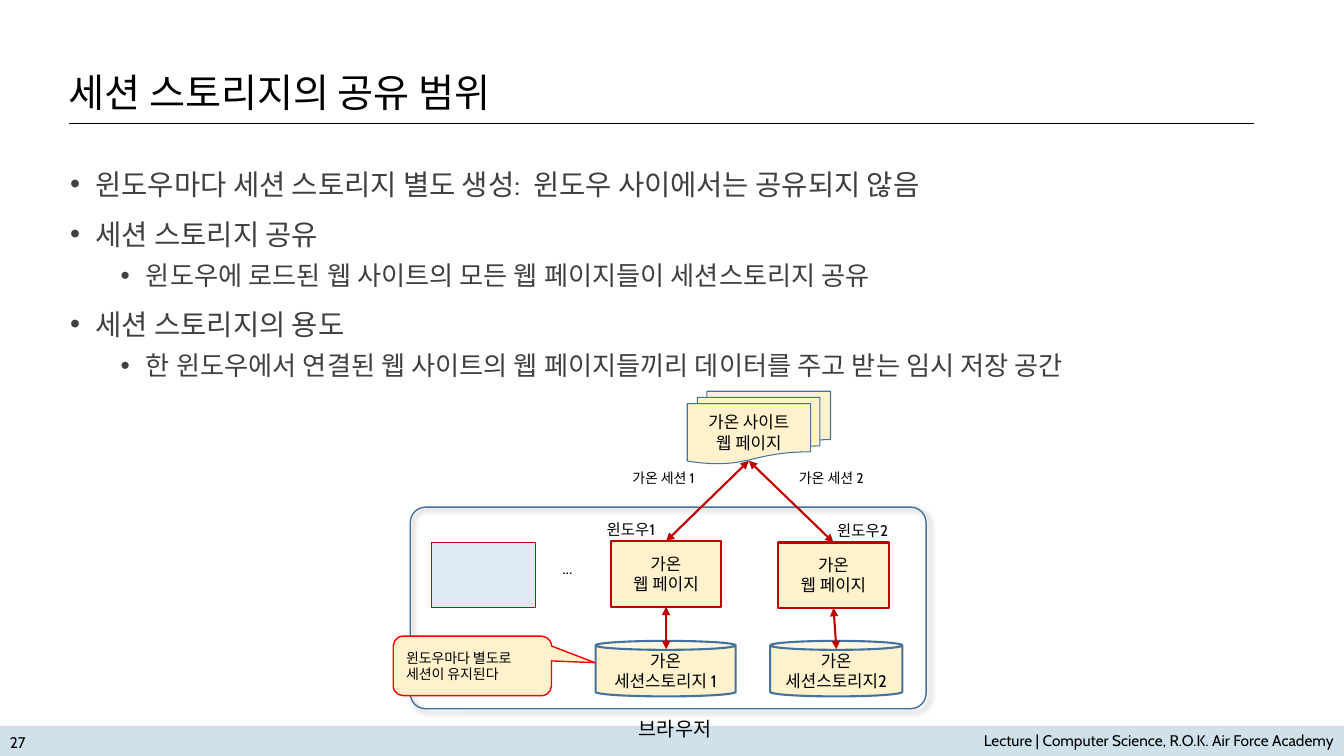
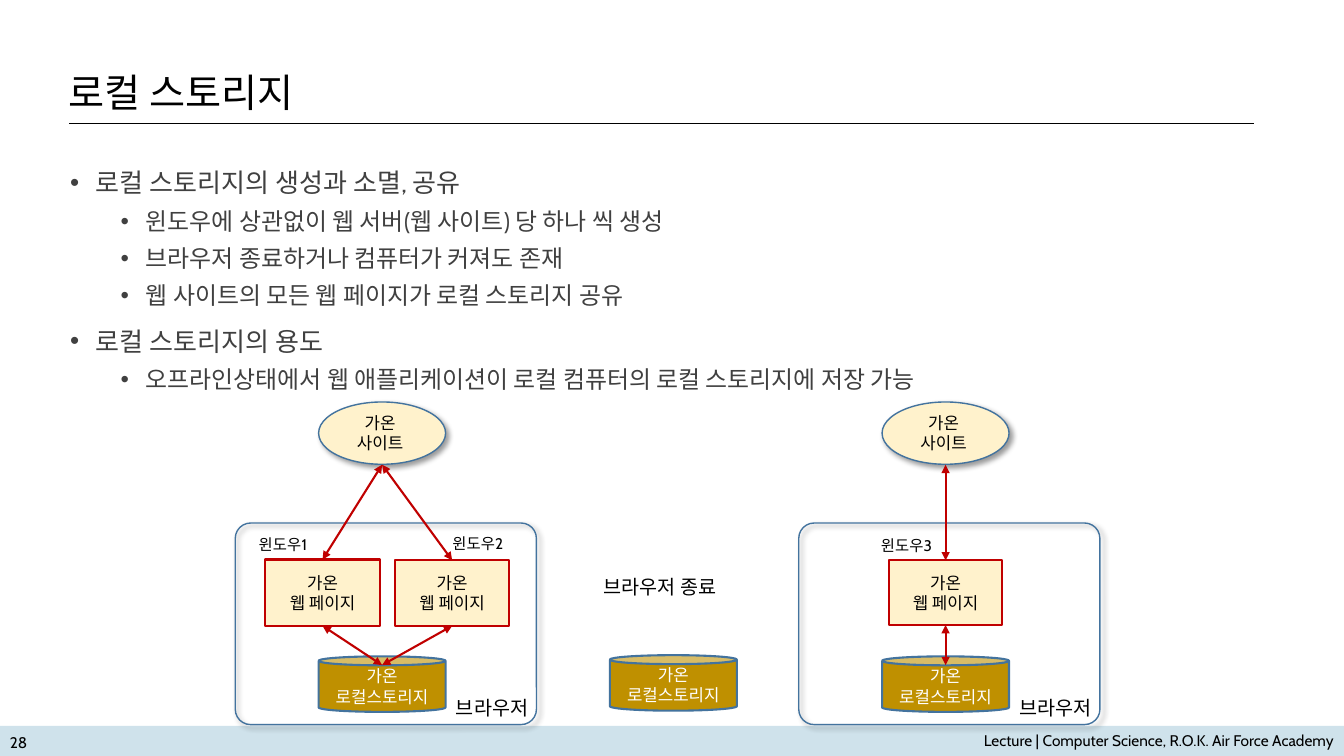
"""Build two lecture slides on session storage and local storage."""
from dataclasses import dataclass

import lxml.etree
import pptx
import pptx.dml.color
import pptx.enum.shapes
import pptx.enum.text
import pptx.oxml.ns
import pptx.slide
import pptx.text.text
import pptx.util

Cm = pptx.util.Cm
Pt = pptx.util.Pt
RGBColor = pptx.dml.color.RGBColor
Shape = pptx.enum.shapes.MSO_SHAPE
Align = pptx.enum.text.PP_ALIGN
Anchor = pptx.enum.text.MSO_ANCHOR
qn = pptx.oxml.ns.qn

BLACK = RGBColor(0x00, 0x00, 0x00)
WHITE = RGBColor(0xFF, 0xFF, 0xFF)
GRAY = RGBColor(0x40, 0x40, 0x40)
BAND = RGBColor(0xCF, 0xE2, 0xEB)
CREAM = RGBColor(0xFF, 0xF2, 0xCC)
PALE_BLUE = RGBColor(0xDE, 0xEB, 0xF7)
GOLD = RGBColor(0xBF, 0x90, 0x00)
BLUE = RGBColor(0x43, 0x73, 0x9E)
DARK_RED = RGBColor(0xC0, 0x00, 0x00)
RED = RGBColor(0xFF, 0x00, 0x00)

FONT = "Cabin"
FOOTER = "Lecture | Computer Science, R.O.K. Air Force Academy"
WEB_PAGE = "가온\n웹 페이지"
SITE = "가온\n사이트"
LOCAL_STORAGE = "가온\n로컬스토리지"
PAGE_WIDTH = 33.87
PAGE_HEIGHT = 19.05

Area = tuple[float, float, float, float]
Point = tuple[float, float]


@dataclass(frozen=True)
class Style:
    """Look of a kind of diagram shape."""

    kind: Shape
    fill: RGBColor | None = CREAM
    line: RGBColor | None = BLUE
    weight: float = 1.5
    color: RGBColor = BLACK
    size: float = 12
    align: Align = Align.CENTER
    shadow: bool = False
    adjustments: tuple[float, ...] = ()
    margins: Area | None = None


@dataclass(frozen=True)
class Label:
    """Free text without wrapping."""

    text: str
    area: Area
    size: float
    align: Align = Align.LEFT


@dataclass(frozen=True)
class Bullet:
    """One bulleted line."""

    text: str
    level: int = 0


@dataclass(frozen=True)
class Window:
    """A browser window, its caption and the caption's upper left corner."""

    area: Area
    caption: str
    corner: Point


BAND_STYLE = Style(Shape.RECTANGLE, BAND, None)
BROWSER = Style(Shape.ROUNDED_RECTANGLE, None, weight=1, shadow=True, adjustments=(0.076,))
WINDOW = Style(Shape.RECTANGLE, line=DARK_RED)
EMPTY_WINDOW = Style(Shape.RECTANGLE, PALE_BLUE, DARK_RED, 0.75)
SESSION_CAN = Style(Shape.CAN, adjustments=(0.162,))
LOCAL_CAN = Style(Shape.CAN, GOLD, color=WHITE, adjustments=(0.162,))
SITE_OVAL = Style(Shape.OVAL, weight=1, shadow=True, margins=(0, 0.13, 0.1, 0.13))
SITE_PAGES = Style(Shape.FLOWCHART_MULTIDOCUMENT, weight=0.75)
CALLOUT = Style(Shape.ROUNDED_RECTANGULAR_CALLOUT, line=RED, weight=1, size=10,
                align=Align.LEFT, adjustments=(0.774, -0.054, 0.167))


def lengths(values: tuple[float, ...]) -> list[pptx.util.Length]:
    """Turn centimetres into lengths."""
    return [Cm(value) for value in values]


def format_text(frame: pptx.text.text.TextFrame, size: float, color: RGBColor, align: Align) -> None:
    """Give all text of a frame one look."""
    for para in frame.paragraphs:
        para.alignment = align
        for span in para.runs:
            span.font.name = FONT
            span.font.size = Pt(size)
            span.font.color.rgb = color
            lxml.etree.SubElement(span._r.get_or_add_rPr(), qn("a:ea"), typeface=FONT)


def set_margins(frame: pptx.text.text.TextFrame, margins: Area) -> None:
    """Set the left, top, right and bottom insets."""
    frame.margin_left, frame.margin_top, frame.margin_right, frame.margin_bottom = lengths(margins)


def add_shadow(shape) -> None:
    """Add a soft shadow towards the lower right."""
    effects = shape.element.spPr.find(qn("a:effectLst"))
    shadow = lxml.etree.SubElement(effects, qn("a:outerShdw"), blurRad=str(Pt(4)),
                                   dist=str(Pt(3)), dir="2700000", algn="tl", rotWithShape="0")
    color = lxml.etree.SubElement(shadow, qn("a:srgbClr"), val=str(BLACK))
    lxml.etree.SubElement(color, qn("a:alpha"), val="40000")


def draw_shape(page: pptx.slide.Slide, style: Style, area: Area, text: str = "") -> None:
    """Draw a preset shape with its text."""
    shape = page.shapes.add_shape(style.kind, *lengths(area))
    shape.shadow.inherit = False
    for index, value in enumerate(style.adjustments):
        shape.adjustments[index] = value
    if style.fill is None:
        shape.fill.background()
    else:
        shape.fill.solid()
        shape.fill.fore_color.rgb = style.fill
    if style.line is None:
        shape.line.fill.background()
    else:
        shape.line.color.rgb = style.line
        shape.line.width = Pt(style.weight)
    if style.shadow:
        add_shadow(shape)
    if text:
        frame = shape.text_frame
        frame.text = text
        frame.word_wrap = True
        frame.vertical_anchor = Anchor.MIDDLE
        if style.margins:
            set_margins(frame, style.margins)
        format_text(frame, style.size, style.color, style.align)


def draw_text(page: pptx.slide.Slide, label: Label, wrap: bool = False,
              anchor: Anchor = Anchor.TOP) -> pptx.text.text.TextFrame:
    """Draw a text box and return its frame."""
    frame = page.shapes.add_textbox(*lengths(label.area)).text_frame
    frame.text = label.text
    frame.word_wrap = wrap
    frame.vertical_anchor = anchor
    if not wrap:
        frame.auto_size = pptx.enum.text.MSO_AUTO_SIZE.SHAPE_TO_FIT_TEXT
    format_text(frame, label.size, BLACK, label.align)
    return frame


def draw_line(page: pptx.slide.Slide, start: Point, end: Point, color: RGBColor = DARK_RED,
              weight: float = 1.5, arrows: bool = True) -> None:
    """Draw a straight line, by default with an arrowhead at each end."""
    line = page.shapes.add_connector(pptx.enum.shapes.MSO_CONNECTOR.STRAIGHT, *lengths(start + end))
    line.line.color.rgb = color
    line.line.width = Pt(weight)
    properties = line.element.spPr
    if arrows:
        for tag in ("a:headEnd", "a:tailEnd"):
            lxml.etree.SubElement(properties.find(qn("a:ln")), qn(tag), type="triangle")
    lxml.etree.SubElement(properties, qn("a:effectLst"))


def draw_bullets(page: pptx.slide.Slide, bullets: list[Bullet], sizes: tuple[float, float]) -> None:
    """Draw the two-level bullet list."""
    frame = page.shapes.add_textbox(*lengths((1.52, 4.04, 30.02, 5.9))).text_frame
    frame.word_wrap = True
    frame.text = "\n".join(bullet.text for bullet in bullets)
    format_text(frame, sizes[0], GRAY, Align.LEFT)
    for para, bullet in zip(frame.paragraphs, bullets):
        para.level = bullet.level
        para.line_spacing = 1.05
        para.space_before = Pt((10, 5)[bullet.level])
        para.runs[0].font.size = Pt(sizes[bullet.level])
        properties = para._p.get_or_add_pPr()
        properties.set("marL", str(Cm((0.64, 1.91)[bullet.level])))
        properties.set("indent", str(Cm(-0.64)))
        lxml.etree.SubElement(properties, qn("a:buFont"), typeface="Arial")
        lxml.etree.SubElement(properties, qn("a:buChar"), char="•")


def add_page(deck, number: int, title: str) -> pptx.slide.Slide:
    """Add a page with the shared title, rule, band and footer."""
    page = deck.slides.add_slide(deck.slide_layouts[6])
    draw_shape(page, BAND_STYLE, (0, 18.29, PAGE_WIDTH, 0.76))
    draw_text(page, Label(FOOTER, (1.93, 18.29, 31.94, 0.71), 11, Align.RIGHT), True)
    draw_text(page, Label(str(number), (0, 18.39, 1.93, 0.61), 11), True, Anchor.MIDDLE)
    draw_line(page, (1.75, 3.11), (31.6, 3.11), BLACK, 0.5, False)
    frame = draw_text(page, Label(title, (1.55, 1.85, 29.97, 1.07), 28), True, Anchor.MIDDLE)
    set_margins(frame, (0, 0, 0, 0))
    para = frame.paragraphs[0]
    para.line_spacing = 0.9
    para.space_before = Pt(10)
    para._p.get_or_add_pPr().set("indent", str(Cm(0.18)))
    return page


def draw_window(page: pptx.slide.Slide, window: Window, site: Point, storage: Point) -> None:
    """Draw a window joined to its site above and its storage below."""
    left, top, width, height = window.area
    center = left + width / 2
    draw_shape(page, WINDOW, window.area, WEB_PAGE)
    draw_line(page, site, (center, top))
    draw_line(page, (center, top + height), storage)
    draw_text(page, Label(window.caption, window.corner + (2, 0.74), 11))


def draw_local_browser(page: pptx.slide.Slide, left: float, windows: list[Window]) -> None:
    """Draw a browser whose windows share one local storage."""
    center = left + 3.7
    draw_shape(page, BROWSER, (left, 13.18, 7.59, 5.08))
    draw_shape(page, SITE_OVAL, (left + 2.1, 10.13, 3.2, 1.57), SITE)
    draw_shape(page, LOCAL_CAN, (left + 2.1, 16.54, 3.2, 1.4), LOCAL_STORAGE)
    for window in windows:
        draw_window(page, window, (center, 11.71), (center, 16.76))
    draw_text(page, Label("브라우저", (left + 5.31, 17.41, 2.51, 0.83), 14))


def build_session_page(deck) -> None:
    """Show that each window keeps its own session storage."""
    page = add_page(deck, 27, "세션 스토리지의 공유 범위")
    draw_bullets(page, [
        Bullet("윈도우마다 세션 스토리지 별도 생성:  윈도우 사이에서는 공유되지 않음"),
        Bullet("세션 스토리지 공유"),
        Bullet("윈도우에 로드된 웹 사이트의 모든 웹 페이지들이 세션스토리지 공유", 1),
        Bullet("세션 스토리지의 용도"),
        Bullet("한 윈도우에서 연결된 웹 사이트의 웹 페이지들끼리 데이터를 주고 받는 임시 저장 공간", 1),
    ], (20.4, 18.7))
    draw_shape(page, BROWSER, (10.34, 12.78, 13, 5.08))
    draw_shape(page, EMPTY_WINDOW, (10.87, 13.67, 2.62, 1.63))
    draw_text(page, Label("...", (13.64, 13.34, 1.32, 1.96), 12, Align.CENTER), True, Anchor.MIDDLE)
    draw_shape(page, SESSION_CAN, (15.01, 16.15, 3.53, 1.4), "가온\n세션스토리지 1")
    draw_shape(page, SESSION_CAN, (19.41, 16.15, 3.33, 1.4), "가온\n세션스토리지2")
    site = (18.87, 11.61)
    first = Window((15.39, 13.64, 2.79, 1.65), "윈도우1", (15.04, 12.98))
    second = Window((19.61, 13.67, 2.79, 1.65), "윈도우2", (20.85, 13))
    draw_window(page, first, site, (16.79, 16.36))
    draw_window(page, second, site, (21.08, 16.36))
    draw_text(page, Label("가온 세션 1", (15.47, 11.71, 2.5, 0.69), 10, Align.CENTER))
    draw_text(page, Label("가온 세션 2", (19.7, 11.71, 2.5, 0.69), 10, Align.CENTER))
    draw_text(page, Label("브라우저", (15.85, 17.93, 2.51, 0.81), 14))
    draw_shape(page, CALLOUT, (9.91, 16.03, 3.99, 1.5), "윈도우마다 별도로 세션이 유지된다")
    draw_shape(page, SITE_PAGES, (17.32, 9.86, 3.61, 1.83), "가온 사이트\n웹 페이지")


def build_local_page(deck) -> None:
    """Show that local storage outlives the browser."""
    page = add_page(deck, 28, "로컬 스토리지")
    draw_bullets(page, [
        Bullet("로컬 스토리지의 생성과 소멸, 공유"),
        Bullet("윈도우에 상관없이 웹 서버(웹 사이트) 당 하나 씩 생성", 1),
        Bullet("브라우저 종료하거나 컴퓨터가 커져도 존재", 1),
        Bullet("웹 사이트의 모든 웹 페이지가 로컬 스토리지 공유", 1),
        Bullet("로컬 스토리지의 용도"),
        Bullet("오프라인상태에서 웹 애플리케이션이 로컬 컴퓨터의 로컬 스토리지에 저장 가능", 1),
    ], (18.6, 17.1))
    draw_local_browser(page, 5.93, [
        Window((6.68, 14.1, 2.9, 1.67), "윈도우1", (6.27, 13.36)),
        Window((9.96, 14.12, 2.87, 1.65), "윈도우2", (11.15, 13.34)),
    ])
    draw_text(page, Label("브라우저 종료", (14.96, 14.35, 3.63, 0.84), 14))
    draw_shape(page, LOCAL_CAN, (15.37, 16.51, 3.2, 1.4), LOCAL_STORAGE)
    draw_local_browser(page, 20.13, [
        Window((22.41, 14.12, 2.84, 1.63), "윈도우3", (21.95, 13.39)),
    ])


def main() -> None:
    """Build and save the deck."""
    deck = pptx.Presentation()
    deck.slide_width, deck.slide_height = lengths((PAGE_WIDTH, PAGE_HEIGHT))
    build_session_page(deck)
    build_local_page(deck)
    deck.save("out.pptx")


if __name__ == "__main__":
    main()
